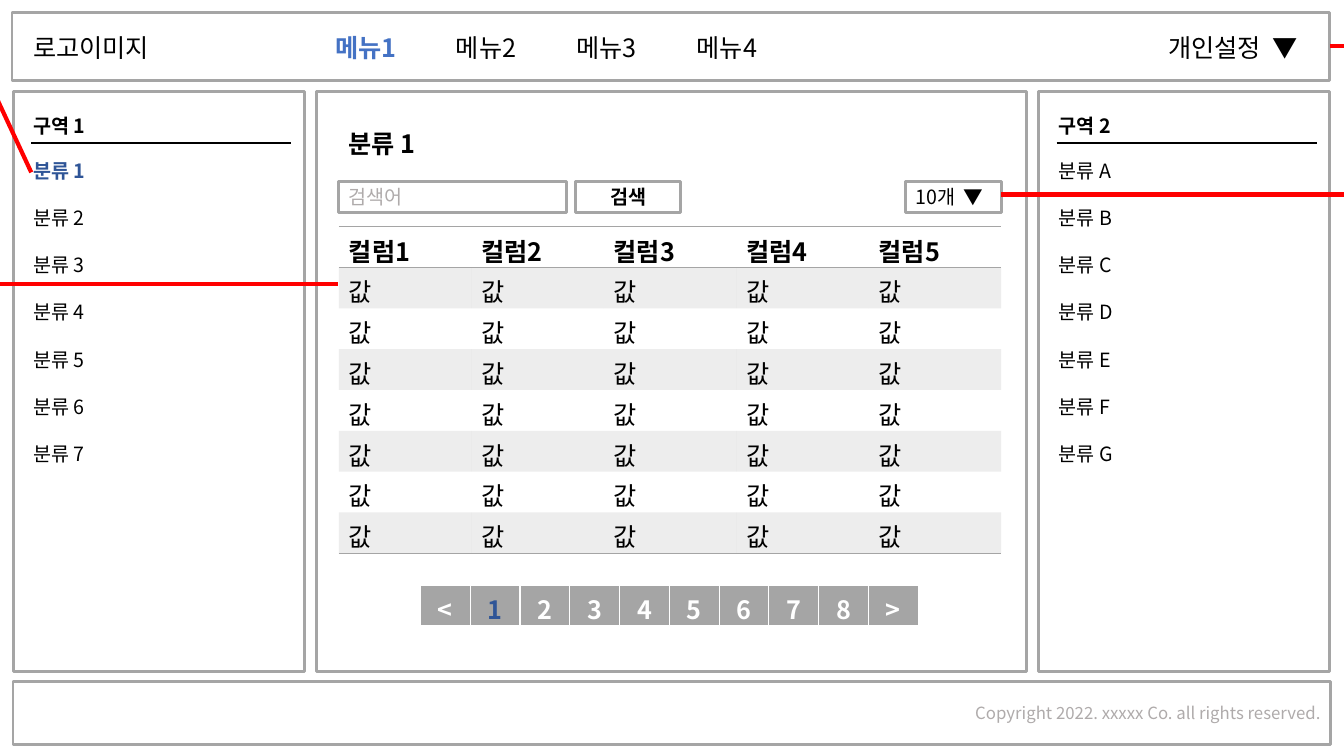
from dataclasses import dataclass

from lxml.etree import SubElement
from pptx import Presentation
from pptx.dml.color import RGBColor
from pptx.enum.shapes import MSO_CONNECTOR as Connector, MSO_SHAPE as Preset
from pptx.enum.text import MSO_ANCHOR as Anchor, PP_ALIGN as Align
from pptx.oxml.ns import qn
from pptx.util import Inches, Pt

FONT = "Noto Sans CJK KR"
BLACK, WHITE, GRAY, PALE = "000000", "FFFFFF", "A5A5A5", "AFABAB"
BLUE, NAVY, RED = "4472C4", "2F5597", "FF0000"
PLAIN_TABLE = "{2D5ABB26-0587-4C30-8999-92F81FD0307C}"
LIST_GAP = 16.8


@dataclass
class Style:
    size: float = 18
    color: str = BLACK
    bold: bool = False
    align: Align = Align.LEFT


@dataclass
class Box:
    left: float
    top: float
    width: float
    height: float
    text: str = ""
    style: Style | None = None


@dataclass
class Line:
    start: tuple[float, float]
    end: tuple[float, float]
    color: str = BLACK
    weight: float = 1.5
    arrow: bool = False


@dataclass
class SidePanel:
    left: float
    title: str
    items: list[str]
    selected: str = ""


def paint(target, color: str) -> None:
    """Give a fill or line fill a solid colour."""
    target.solid()
    target.fore_color.rgb = RGBColor.from_string(color)


def write(para, text: str, style: Style) -> None:
    para.alignment = style.align
    span = para.add_run()
    span.text = text
    span.font.size = Pt(style.size)
    span.font.bold = style.bold
    span.font.name = FONT
    paint(span.font.fill, style.color)
    SubElement(span.font._element, qn("a:ea"), typeface=FONT)


def place(box: Box) -> list:
    return [Inches(value) for value in (box.left, box.top, box.width, box.height)]


def add_frame(page, box: Box):
    frame = page.shapes.add_shape(Preset.RECTANGLE, *place(box))
    frame.shadow.inherit = False
    paint(frame.fill, WHITE)
    paint(frame.line.fill, GRAY)
    frame.line.width = Pt(2)
    if box.text:
        frame.text_frame.vertical_anchor = Anchor.MIDDLE
        write(frame.text_frame.paragraphs[0], box.text, box.style)
    return frame


def add_label(page, box: Box) -> None:
    body = page.shapes.add_textbox(*place(box)).text_frame
    body.word_wrap = True
    write(body.paragraphs[0], box.text, box.style)


def add_line(page, line: Line):
    points = [Inches(value) for value in (*line.start, *line.end)]
    connector = page.shapes.add_connector(Connector.STRAIGHT, *points)
    paint(connector.line.fill, line.color)
    connector.line.width = Pt(line.weight)
    if line.arrow:
        SubElement(connector.line._get_or_add_ln(), qn("a:tailEnd"), type="triangle")
    SubElement(connector._element.spPr, qn("a:effectLst"))
    return connector


def add_side_panel(page, panel: SidePanel) -> None:
    left = panel.left
    add_frame(page, Box(left, 0.91, 2.89, 5.75))
    add_label(page, Box(left + 0.1, 1.08, 2.66, 0.34, panel.title, Style(14, bold=True)))
    add_line(page, Line((left + 0.18, 1.42), (left + 2.76, 1.42)))
    body = page.shapes.add_textbox(*place(Box(left + 0.1, 1.53, 2.66, 3.16))).text_frame
    body.word_wrap = True
    for index, item in enumerate(panel.items):
        para = body.paragraphs[0] if index == 0 else body.add_paragraph()
        para.space_after = Pt(LIST_GAP)
        chosen = item == panel.selected
        write(para, item, Style(14, NAVY if chosen else BLACK, chosen))


def add_grid(page, box: Box, rows: int, columns: int):
    grid = page.shapes.add_table(rows, columns, *place(box)).table
    grid._tbl.tblPr.find(qn("a:tableStyleId")).text = PLAIN_TABLE
    for column in grid.columns:
        column.width = Inches(box.width / columns)
    for row in grid.rows:
        row.height = Inches(box.height / rows)
    return grid


def add_border(cell, side: str, color: str, weight: float) -> None:
    edge = SubElement(cell._tc.get_or_add_tcPr(), qn(f"a:ln{side}"), w=str(Pt(weight)))
    SubElement(SubElement(edge, qn("a:solidFill")), qn("a:srgbClr"), val=color)


def add_data_table(page) -> None:
    rows, columns = 8, 5
    grid = add_grid(page, Box(3.36, 2.25, 6.57, 3.24), rows, columns)
    for row in range(rows):
        for column in range(columns):
            cell = grid.cell(row, column)
            text = f"컬럼{column + 1}" if row == 0 else "값"
            write(cell.text_frame.paragraphs[0], text, Style(bold=row == 0))
            sides = {0: "TB", rows - 1: "B"}.get(row, "")
            for side in sides:
                add_border(cell, side, GRAY, 1)
            if row % 2:
                paint(cell.fill, GRAY)
                tint = cell._tc.tcPr.find(f"{qn('a:solidFill')}/{qn('a:srgbClr')}")
                SubElement(tint, qn("a:alpha"), val="20000")
            else:
                cell.fill.background()


def add_pager(page) -> None:
    labels = ["<", *map(str, range(1, 9)), ">"]
    grid = add_grid(page, Box(4.17, 5.81, 4.94, 0.41), 1, len(labels))
    for column, label in enumerate(labels):
        cell = grid.cell(0, column)
        color = NAVY if label == "1" else WHITE
        write(cell.text_frame.paragraphs[0], label, Style(18, color, True, Align.CENTER))
        for side, weight in (("L", 1), ("R", 1), ("T", 1), ("B", 3)):
            add_border(cell, side, WHITE, weight)
        paint(cell.fill, GRAY)


def main() -> None:
    deck = Presentation()
    deck.slide_width, deck.slide_height = Inches(13.33), Inches(7.5)
    page = deck.slides.add_slide(deck.slide_layouts[6])

    # Header with menu
    header = add_frame(page, Box(0.12, 0.12, 13.07, 0.68))
    add_label(page, Box(0.23, 0.27, 1.46, 0.4, "로고이미지", Style()))
    add_label(page, Box(11.49, 0.27, 1.7, 0.4, "개인설정  ▼", Style()))
    for index in range(4):
        style = Style(color=BLUE, bold=True) if index == 0 else Style()
        add_label(page, Box(3.23 + 1.194 * index, 0.27, 0.88, 0.4, f"메뉴{index + 1}", style))

    # Side panels
    add_side_panel(page, SidePanel(0.13, "구역 1", [f"분류 {n}" for n in range(1, 8)], "분류 1"))
    add_side_panel(page, SidePanel(10.3, "구역 2", [f"분류 {letter}" for letter in "ABCDEFG"]))

    # Main panel
    add_frame(page, Box(3.14, 0.91, 7.04, 5.75))
    add_label(page, Box(3.36, 1.22, 6.57, 0.4, "분류 1", Style(bold=True)))
    add_data_table(page)
    add_pager(page)
    add_frame(page, Box(3.36, 1.8, 2.26, 0.31, "검색어", Style(14, PALE)))
    add_frame(page, Box(5.71, 1.8, 1.04, 0.31, "검색", Style(14, bold=True, align=Align.CENTER)))
    add_frame(page, Box(8.98, 1.8, 0.95, 0.31, "10개  ▼", Style(14)))

    # Red callout arrows
    settings = add_line(page, Line((13.19, 0.46), (13.97, 0.46), RED, 3, True))
    settings.begin_connect(header, 3)
    for start, end in (
        ((9.93, 1.93), (13.97, 1.93)),
        ((0.31, 1.71), (-0.36, 0.27)),
        ((3.35, 2.82), (-0.36, 2.82)),
    ):
        add_line(page, Line(start, end, RED, 3, True))

    # Footer
    notice = "Copyright 2022. xxxxx Co. all rights reserved."
    add_frame(page, Box(0.13, 6.76, 13.07, 0.63, notice, Style(12, PALE, align=Align.RIGHT)))
    deck.save("out.pptx")


if __name__ == "__main__":
    main()
